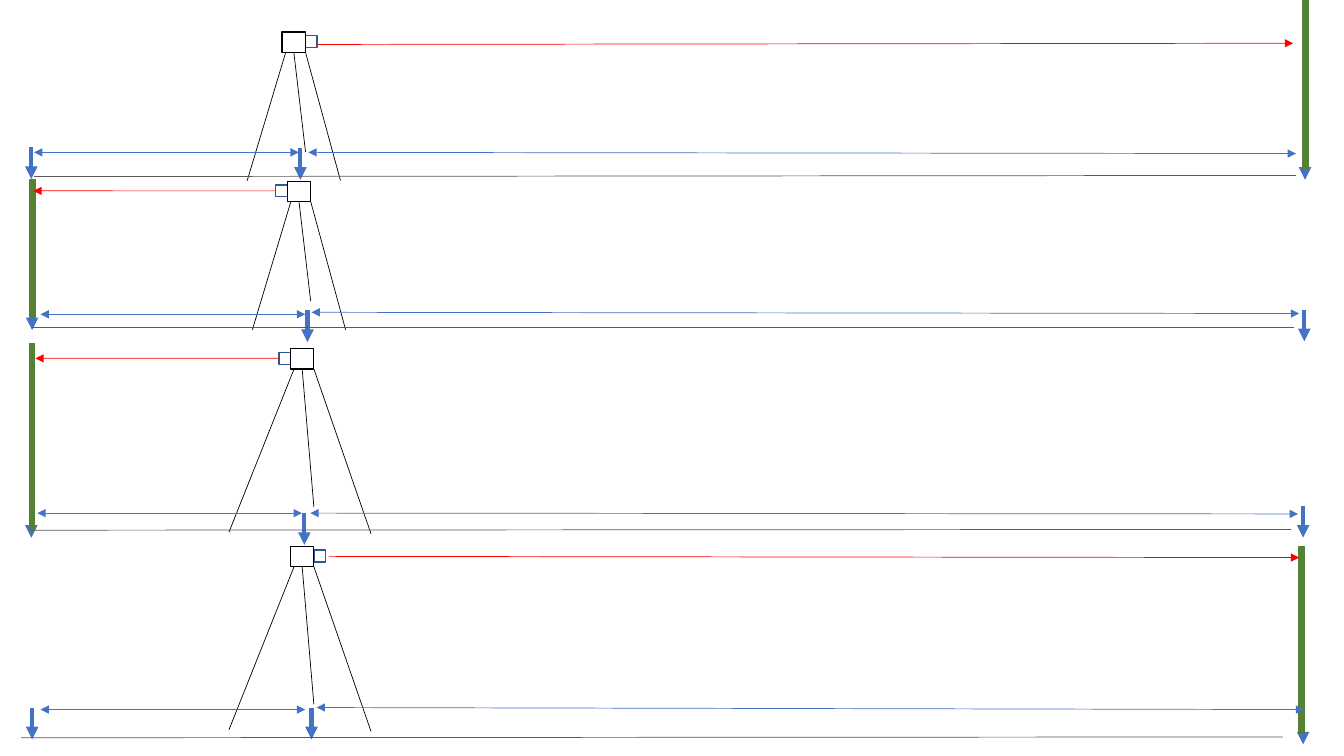
"""Build a slide with four level set-ups on tripods, each sighting a staff."""
from pptx import Presentation
from pptx.dml.color import RGBColor
from pptx.enum.shapes import MSO_CONNECTOR, MSO_SHAPE
from pptx.oxml.ns import qn
from pptx.util import Cm, Pt
from lxml.etree import SubElement

BLACK = RGBColor(0x00, 0x00, 0x00)
WHITE = RGBColor(0xFF, 0xFF, 0xFF)
NAVY = RGBColor(0x32, 0x54, 0x91)
BLUE = RGBColor(0x44, 0x72, 0xC4)
GREEN = RGBColor(0x54, 0x82, 0x35)
RED = RGBColor(0xFF, 0x00, 0x00)
GRAY = RGBColor(0x59, 0x59, 0x59)

SHORT = {"left": (-0.88, 3.23), "right": (1.47, 3.23), "mid": (0.59, 2.51)}
TALL = {"left": (-1.55, 4.11), "right": (2.03, 4.15), "mid": (0.59, 3.47)}

SETUPS = [
    {"body": (7.11, 0.81), "faces": "right", "legs": SHORT,
     "sight": (7.99, 1.12, 32.59, 1.09), "staff": (32.84, 0, 4.24),
     "pegs": [(0.79, 3.71), (7.57, 3.73), (32.89, 3.73)],
     "ground": (0.86, 4.45, 4.42), "near": (0.86, 3.84), "far": (7.77, 3.84, 3.87)},
    {"body": (7.24, 4.57), "faces": "left", "legs": SHORT,
     "sight": (6.95, 4.81, 0.84, 4.81), "staff": (0.76, 4.52, 3.48),
     "pegs": [(0.81, 7.52), (7.75, 7.82), (32.87, 7.8)],
     "ground": (0.81, 8.26, 8.26), "near": (1.02, 7.92), "far": (7.85, 7.87, 7.9)},
    {"body": (7.32, 8.79), "faces": "left", "legs": TALL,
     "sight": (7.03, 9.03, 0.89, 9.03), "staff": (0.74, 8.66, 4.65),
     "pegs": [(0.79, 12.75), (7.67, 12.93), (32.84, 12.75)],
     "ground": (0.74, 13.36, 13.34), "near": (0.94, 12.93), "far": (7.82, 12.93, 12.95)},
    {"body": (7.32, 13.77), "faces": "right", "legs": TALL,
     "sight": (8.28, 14.02, 32.74, 14.05), "staff": (32.74, 13.77, 4.7),
     "pegs": [(0.81, 17.83), (7.85, 17.83), (32.84, 17.96)],
     "ground": (0.53, 18.59, 18.57), "near": (1.02, 17.88), "far": (7.98, 17.83, 17.88)},
]

BODY_W, BODY_H = 0.59, 0.51
LENS_W, LENS_H, LENS_DROP = 0.29, 0.3, 0.09
LEG_IN = 0.09
STAFF_W, PEG_H = 0.13, 0.8
GROUND_W, NEAR_W, FAR_W = 31.8, 6.67, 24.89


def add_box(shapes, x, y, w, h, fill, edge):
    box = shapes.add_shape(MSO_SHAPE.RECTANGLE, Cm(x), Cm(y), Cm(w), Cm(h))
    box.shadow.inherit = False
    box.fill.solid()
    box.fill.fore_color.rgb = fill
    box.line.color.rgb = edge
    box.line.width = Pt(1)
    return box


def add_line(shapes, ends, color, width=0.5, tips=()):
    line = shapes.add_connector(MSO_CONNECTOR.STRAIGHT, *map(Cm, ends))
    line.line.color.rgb = color
    line.line.width = Pt(width)
    props = line._element.spPr
    for tip in tips:
        SubElement(props.find(qn("a:ln")), qn(f"a:{tip}"), type="triangle")
    SubElement(props, qn("a:effectLst"))
    return line


def add_level(shapes, setup):
    x, y = setup["body"]
    parts = shapes.add_group_shape().shapes
    foot = y + BODY_H
    starts = {"left": x + LEG_IN, "right": x + BODY_W, "mid": x + BODY_W / 2}
    legs = {}
    for name, (dx, drop) in setup["legs"].items():
        ends = (starts[name], foot, x + dx, foot + drop)
        legs[name] = add_line(parts, ends, BLACK)
    lens_x = x + BODY_W if setup["faces"] == "right" else x - LENS_W
    lens = add_box(parts, lens_x, y + LENS_DROP, LENS_W, LENS_H, WHITE, NAVY)
    body = add_box(parts, x, y, BODY_W, BODY_H, WHITE, BLACK)
    legs["mid"].begin_connect(body, 2)
    return lens


def add_setup(shapes, setup):
    lens = add_level(shapes, setup)
    for x, y in setup["pegs"]:
        add_line(shapes, (x, y, x, y + PEG_H), BLUE, 3, ["tailEnd"])
    x, y, h = setup["staff"]
    add_box(shapes, x, y, STAFF_W, h, GREEN, GREEN)
    sight = add_line(shapes, setup["sight"], RED, tips=["tailEnd"])
    if setup["faces"] == "left":
        sight.begin_connect(lens, 1)
    x, y, end = setup["ground"]
    add_line(shapes, (x, y, x + GROUND_W, end), GRAY)
    both = ["headEnd", "tailEnd"]
    x, y = setup["near"]
    add_line(shapes, (x, y, x + NEAR_W, y), BLUE, tips=both)
    x, y, end = setup["far"]
    add_line(shapes, (x, y, x + FAR_W, end), BLUE, tips=both)


def main():
    deck = Presentation()
    deck.slide_width, deck.slide_height = Cm(33.87), Cm(19.05)
    slide = deck.slides.add_slide(deck.slide_layouts[6])
    for setup in SETUPS:
        add_setup(slide.shapes, setup)
    deck.save("out.pptx")


if __name__ == "__main__":
    main()
